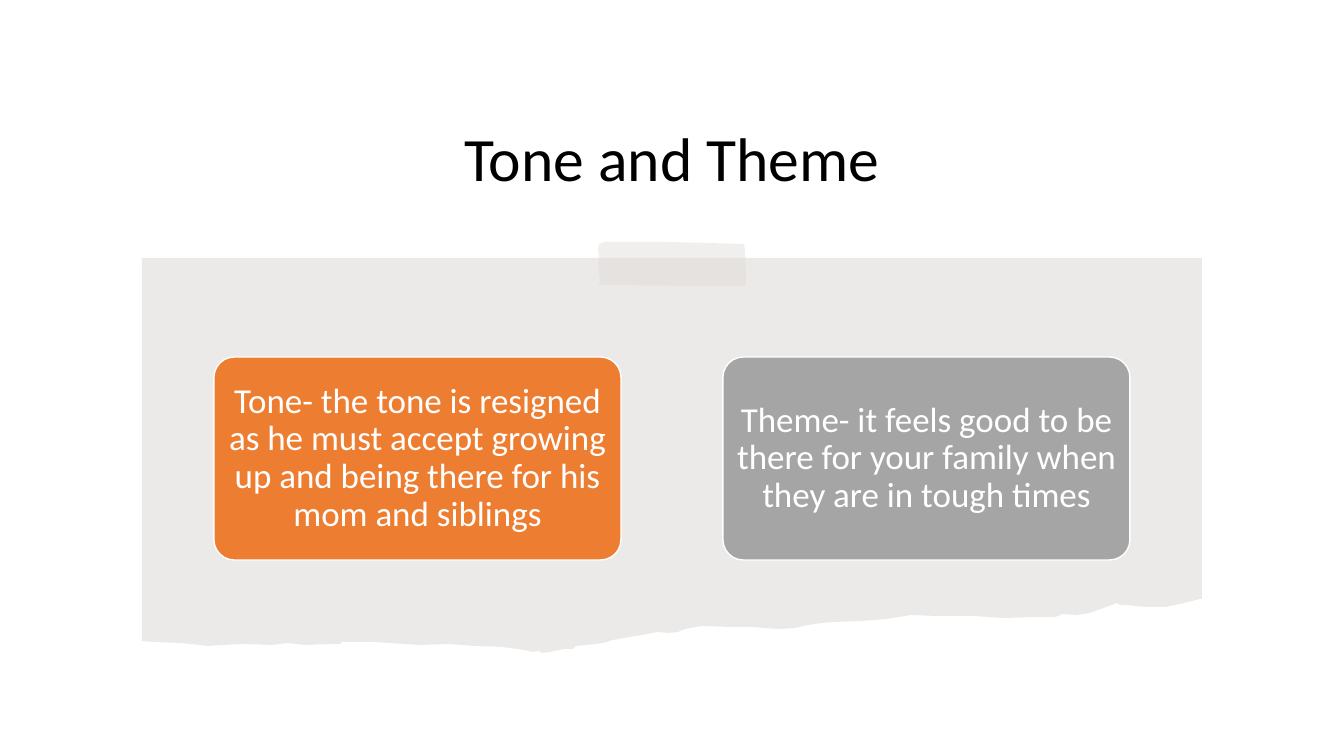
"""Builds the Tone and Theme slide: a torn sheet of paper, a strip of tape and two cards."""
import pptx
import pptx.dml.color
import pptx.enum.shapes
import pptx.enum.text
import pptx.oxml.ns
import pptx.util
from lxml import etree

RGBColor = pptx.dml.color.RGBColor
BLACK = RGBColor(0x00, 0x00, 0x00)
WHITE = RGBColor(0xFF, 0xFF, 0xFF)
PAPER = RGBColor(0x82, 0x76, 0x6A)
TAPE = RGBColor(0xD9, 0xD4, 0xD0)
ORANGE = RGBColor(0xED, 0x7D, 0x31)
GRAY = RGBColor(0xA5, 0xA5, 0xA5)

FONT = "Calibri"
SCALE = 914400 / 100.8
PAGE_WIDTH, PAGE_HEIGHT = 1344, 756

TITLE = "Tone and Theme"
TITLE_AREA = (180, 103, 984, 117)
CARDS = [
    ("Tone- the tone is resigned as he must\u00a0accept\u00a0growing up "
     "and being there for his mom and siblings", ORANGE),
    ("Theme- it feels good to be there for your family "
     "when they are in tough times", GRAY),
]
CARD_LEFT, CARD_TOP, CARD_WIDTH, CARD_HEIGHT = 214, 357, 407, 203
CARD_STEP = 509
CARD_INSET = 4

PAPER_TOP = [(142, 258), (1202, 258)]
TORN_EDGE = [
    (1202, 599), (1200, 599), (1184, 603), (1166, 607), (1147, 607), (1135, 606),
    (1127, 605), (1120, 605), (1117, 603), (1112, 605), (1098, 610), (1090, 613),
    (1077, 615), (1062, 614), (1059, 616), (1055, 617), (1035, 617), (1005, 618),
    (973, 616), (935, 616), (911, 615), (887, 619), (861, 621), (836, 622),
    (822, 623), (808, 625), (795, 628), (779, 629), (763, 628), (753, 627),
    (729, 627), (702, 626), (696, 627), (685, 629), (678, 632), (669, 633),
    (657, 632), (643, 635), (635, 636), (613, 640), (603, 643), (587, 645),
    (576, 646), (573, 649), (565, 649), (550, 652), (542, 653), (539, 651),
    (533, 652), (524, 650), (502, 647), (475, 646), (448, 644), (420, 645),
    (373, 642), (341, 642), (341, 644), (330, 644), (305, 645), (287, 643),
    (272, 645), (245, 644), (222, 645), (209, 646), (181, 643), (154, 642),
    (142, 641),
]
TAPE_OUTLINE = [
    (599, 244), (604, 242), (670, 242), (744, 244), (745, 250), (746, 273),
    (746, 285), (738, 286), (599, 285), (600, 280), (599, 272), (598, 265),
    (599, 259), (598, 250),
]


def emu(pixels):
    return pptx.util.Emu(round(pixels * SCALE))


def add_outline(page, points, color, opacity):
    builder = page.shapes.build_freeform(*points[0], scale=SCALE)
    builder.add_line_segments(points[1:], close=True)
    shape = builder.convert_to_shape()
    shape.shadow.inherit = False
    shape.line.fill.background()
    shape.fill.solid()
    shape.fill.fore_color.rgb = color
    fill_color = shape._element.spPr.find(".//" + pptx.oxml.ns.qn("a:srgbClr"))
    alpha = etree.SubElement(fill_color, pptx.oxml.ns.qn("a:alpha"))
    alpha.set("val", str(opacity * 1000))


def write(shape, text, size, color):
    frame = shape.text_frame
    frame.text = text
    frame.word_wrap = True
    frame.vertical_anchor = pptx.enum.text.MSO_ANCHOR.MIDDLE
    para = frame.paragraphs[0]
    para.alignment = pptx.enum.text.PP_ALIGN.CENTER
    para.line_spacing = 0.9
    font = para.runs[0].font
    font.name = FONT
    font.size = pptx.util.Pt(size)
    font.color.rgb = color


def add_card(page, left, text, color):
    card = page.shapes.add_shape(
        pptx.enum.shapes.MSO_SHAPE.ROUNDED_RECTANGLE,
        emu(left), emu(CARD_TOP), emu(CARD_WIDTH), emu(CARD_HEIGHT))
    card.adjustments[0] = 0.1
    card.shadow.inherit = False
    card.fill.solid()
    card.fill.fore_color.rgb = color
    card.line.color.rgb = WHITE
    card.line.width = pptx.util.Pt(1)
    frame = card.text_frame
    frame.margin_left = frame.margin_right = emu(CARD_INSET)
    frame.margin_top = frame.margin_bottom = emu(CARD_INSET)
    write(card, text, 25, WHITE)


deck = pptx.Presentation()
deck.slide_width = emu(PAGE_WIDTH)
deck.slide_height = emu(PAGE_HEIGHT)
page = deck.slides.add_slide(deck.slide_layouts[6])

title = page.shapes.add_textbox(*map(emu, TITLE_AREA))
write(title, TITLE, 44, BLACK)
add_outline(page, PAPER_TOP + TORN_EDGE, PAPER, 15)
add_outline(page, TAPE_OUTLINE, TAPE, 35)
for index, (text, color) in enumerate(CARDS):
    add_card(page, CARD_LEFT + index * CARD_STEP, text, color)

deck.save("out.pptx")
